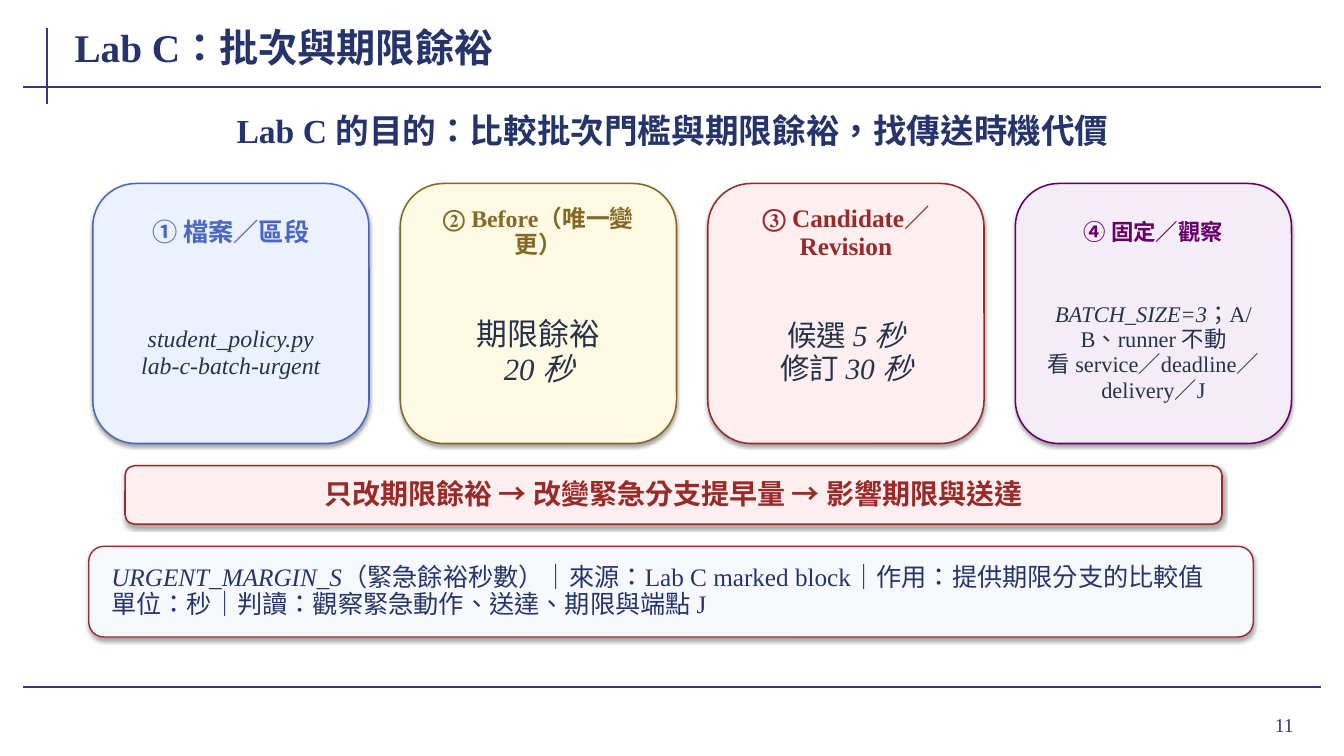
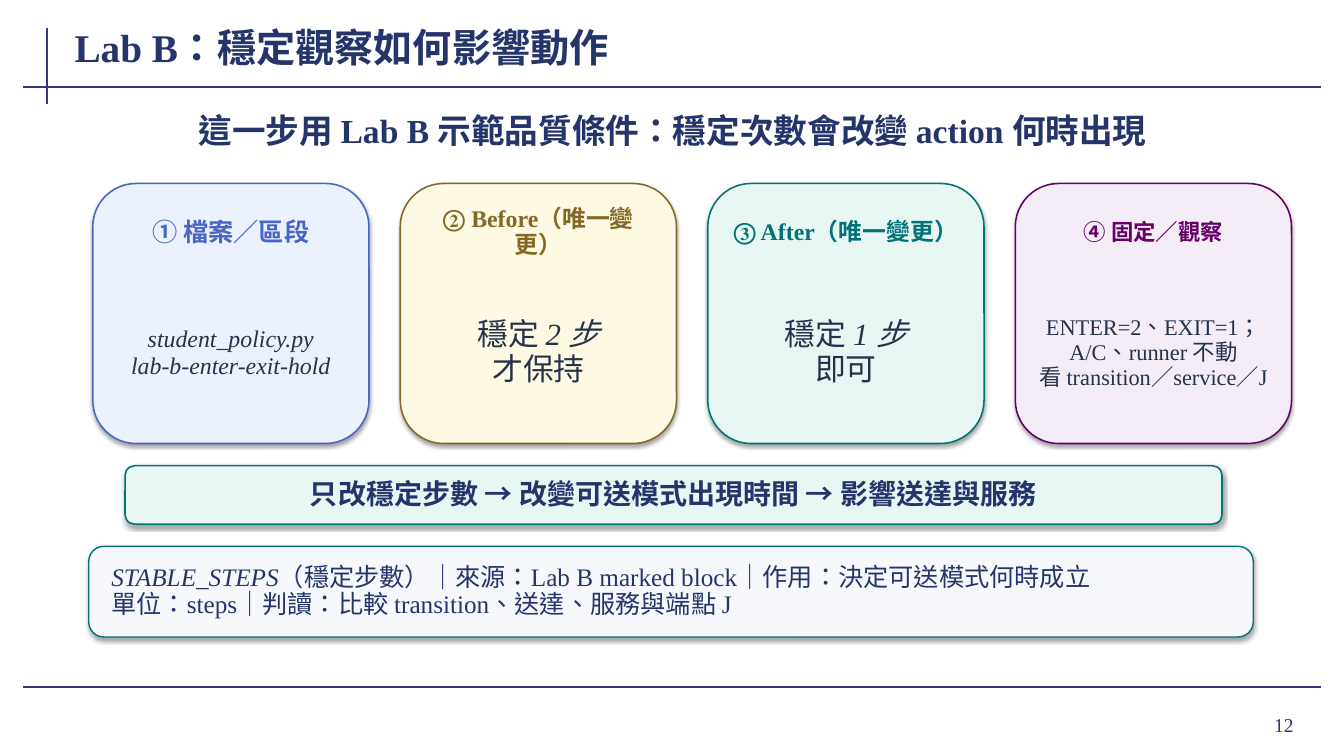
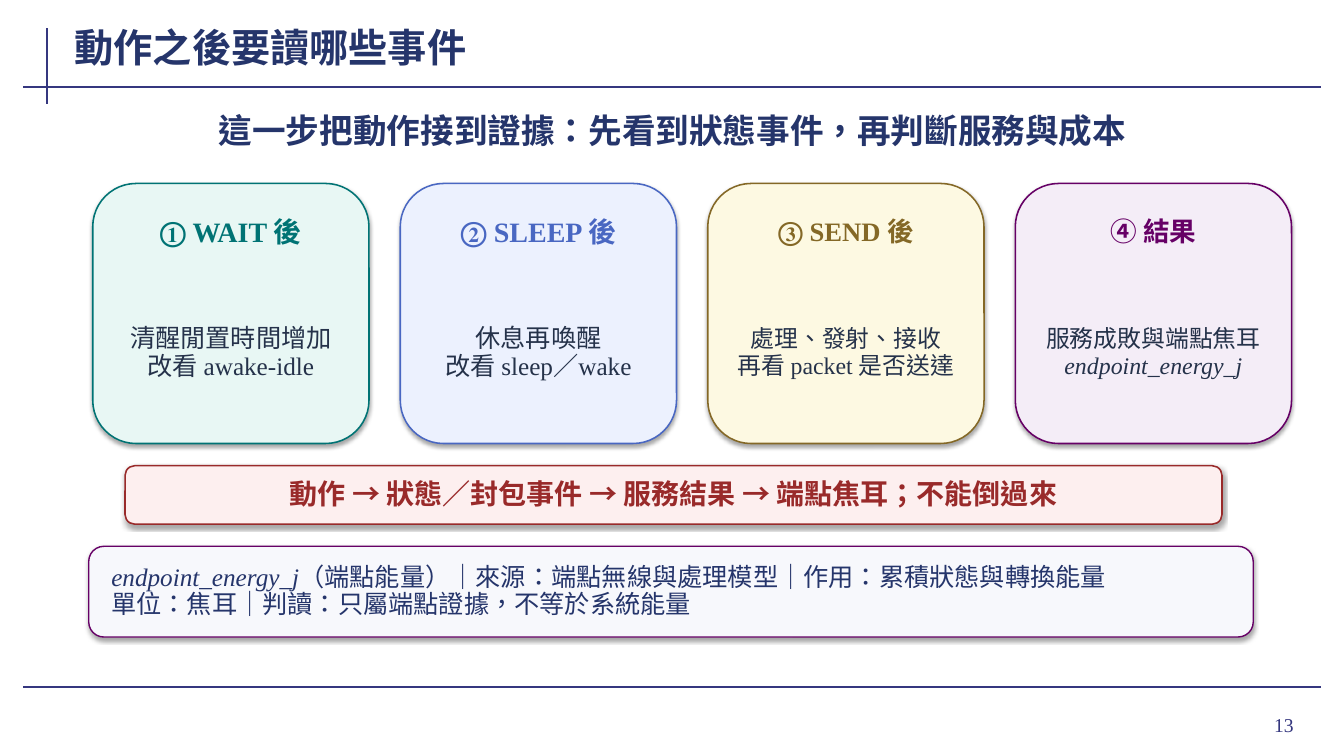
from dataclasses import dataclass

from lxml.etree import SubElement
from pptx import Presentation
from pptx.dml.color import RGBColor
from pptx.enum.lang import MSO_LANGUAGE_ID
from pptx.enum.shapes import MSO_CONNECTOR, MSO_SHAPE
from pptx.enum.text import MSO_ANCHOR, MSO_AUTO_SIZE, PP_ALIGN
from pptx.oxml.ns import qn
from pptx.shapes.autoshape import Shape
from pptx.slide import Slide
from pptx.util import Inches, Pt

# Shared look
FONT = "Times New Roman"
RULE = RGBColor(0x35, 0x37, 0x7F)
NAVY = RGBColor(0x25, 0x35, 0x6B)
INK = RGBColor(0x25, 0x32, 0x4A)
PALE = RGBColor(0xF7, 0xF8, 0xFC)
LEFT, MID, RIGHT = PP_ALIGN.LEFT, PP_ALIGN.CENTER, PP_ALIGN.RIGHT

Box = tuple[float, float, float, float]


@dataclass(frozen=True)
class Tone:
    fill: RGBColor
    line: RGBColor


BLUE = Tone(RGBColor(0xEC, 0xF1, 0xFE), RGBColor(0x49, 0x67, 0xC2))
GOLD = Tone(RGBColor(0xFD, 0xF9, 0xE2), RGBColor(0x84, 0x68, 0x26))
RED = Tone(RGBColor(0xFD, 0xEF, 0xEF), RGBColor(0x99, 0x2A, 0x2A))
TEAL = Tone(RGBColor(0xE8, 0xF7, 0xF4), RGBColor(0x00, 0x73, 0x74))
PLUM = Tone(RGBColor(0xF4, 0xED, 0xF7), RGBColor(0x66, 0x00, 0x66))


@dataclass(frozen=True)
class Style:
    align: PP_ALIGN
    pad_x: float
    pad_y: float
    space: float | None = None
    bold: bool = False
    grow: bool = False


TITLE = Style(LEFT, 0.02, 0, bold=True)
LEAD = Style(MID, 0.02, 0, 0.96, bold=True, grow=True)
HEAD = Style(MID, 0.03, 0.01, 0.92, bold=True, grow=True)
BODY = Style(MID, 0.05, 0.01, 0.94, grow=True)
CHAIN = Style(MID, 0.12, 0.04, 0.95, bold=True)
NOTE = Style(LEFT, 0.18, 0.03, 0.9)
PAGE = Style(RIGHT, 0.1, 0.05)


@dataclass(frozen=True)
class Card:
    tone: Tone
    head: str
    head_size: int
    body: str
    body_size: int


@dataclass(frozen=True)
class Page:
    num: int
    title: str
    lead: str
    cards: list[Card]
    chain: str
    chain_tone: Tone
    chain_ink: RGBColor
    note: str
    note_tone: Tone


# Content: text between asterisks is italic
FIXED = "④ 固定／觀察"
BEFORE = "② Before（唯一變更）"
PAGES = [
    Page(
        11, "Lab C：批次與期限餘裕",
        "Lab C 的目的：比較批次門檻與期限餘裕，找傳送時機代價",
        [
            Card(BLUE, "① 檔案／區段", 18,
                 "*student_policy.py*\n*lab-c-batch-urgent*", 17),
            Card(GOLD, BEFORE, 17, "期限餘裕\n*20 秒*", 22),
            Card(RED, "③ Candidate／Revision", 18,
                 "候選 *5 秒*\n修訂 *30 秒*", 21),
            Card(PLUM, FIXED, 16, "*BATCH_SIZE=3*；A/B、runner 不動\n"
                 "看 service／deadline／delivery／J", 16),
        ],
        "只改期限餘裕 → 改變緊急分支提早量 → 影響期限與送達", RED, RED.line,
        "*URGENT_MARGIN_S*（緊急餘裕秒數）｜來源：Lab C marked block"
        "｜作用：提供期限分支的比較值\n"
        "單位：秒｜判讀：觀察緊急動作、送達、期限與端點 J", RED,
    ),
    Page(
        12, "Lab B：穩定觀察如何影響動作",
        "這一步用 Lab B 示範品質條件：穩定次數會改變 action 何時出現",
        [
            Card(BLUE, "① 檔案／區段", 18,
                 "*student_policy.py*\n*lab-b-enter-exit-hold*", 17),
            Card(GOLD, BEFORE, 17, "穩定 *2 步*\n才保持", 22),
            Card(TEAL, "③ After（唯一變更）", 17, "穩定 *1 步*\n即可", 22),
            Card(PLUM, FIXED, 16, "ENTER=2、EXIT=1；A/C、runner 不動\n"
                 "看 transition／service／J", 16),
        ],
        "只改穩定步數 → 改變可送模式出現時間 → 影響送達與服務", TEAL, NAVY,
        "*STABLE_STEPS*（穩定步數）｜來源：Lab B marked block"
        "｜作用：決定可送模式何時成立\n"
        "單位：steps｜判讀：比較 transition、送達、服務與端點 J", TEAL,
    ),
    Page(
        13, "動作之後要讀哪些事件",
        "這一步把動作接到證據：先看到狀態事件，再判斷服務與成本",
        [
            Card(TEAL, "① WAIT 後", 20, "清醒閒置時間增加\n改看 awake-idle", 18),
            Card(BLUE, "② SLEEP 後", 20, "休息再喚醒\n改看 sleep／wake", 18),
            Card(GOLD, "③ SEND 後", 19,
                 "處理、發射、接收\n再看 packet 是否送達", 17),
            Card(PLUM, "④ 結果", 19,
                 "服務成敗與端點焦耳\n*endpoint_energy_j*", 17),
        ],
        "動作 → 狀態／封包事件 → 服務結果 → 端點焦耳；不能倒過來", RED, RED.line,
        "*endpoint_energy_j*（端點能量）｜來源：端點無線與處理模型"
        "｜作用：累積狀態與轉換能量\n"
        "單位：焦耳｜判讀：只屬端點證據，不等於系統能量", PLUM,
    ),
]


def write(shape: Shape, text: str, style: Style, size: int, ink: RGBColor) -> None:
    frame = shape.text_frame
    frame.word_wrap = True
    frame.vertical_anchor = MSO_ANCHOR.MIDDLE
    frame.auto_size = (MSO_AUTO_SIZE.SHAPE_TO_FIT_TEXT if style.grow
                       else MSO_AUTO_SIZE.NONE)
    frame.margin_left = frame.margin_right = Inches(style.pad_x)
    frame.margin_top = frame.margin_bottom = Inches(style.pad_y)
    for i, line in enumerate(text.split("\n")):
        para = frame.add_paragraph() if i else frame.paragraphs[0]
        para.alignment = style.align
        para.line_spacing = style.space
        for j, part in enumerate(line.split("*")):
            if not part:
                continue
            run = para.add_run()
            run.text = part
            font = run.font
            font.name, font.size = FONT, Pt(size)
            font.bold, font.italic = style.bold, j % 2 == 1
            font.color.rgb = ink
            font.language_id = MSO_LANGUAGE_ID.TRADITIONAL_CHINESE


def label(slide: Slide, box: Box, text: str, style: Style, size: int,
          ink: RGBColor) -> None:
    shape = slide.shapes.add_textbox(*map(Inches, box))
    write(shape, text, style, size, ink)


def panel(slide: Slide, box: Box, fill: RGBColor, line: RGBColor,
          width: float = 1.1) -> Shape:
    shape = slide.shapes.add_shape(MSO_SHAPE.ROUNDED_RECTANGLE, *map(Inches, box))
    shape.fill.solid()
    shape.fill.fore_color.rgb = fill
    shape.line.color.rgb = line
    shape.line.width = Pt(width)
    # Soft shadow straight below
    shape.shadow.inherit = False
    glow = shape.element.spPr.find(qn("a:effectLst"))
    drop = SubElement(glow, qn("a:outerShdw"), blurRad=str(Pt(3.1)),
                      dist=str(Pt(1.8)), dir="5400000", rotWithShape="0")
    black = SubElement(drop, qn("a:srgbClr"), val="000000")
    SubElement(black, qn("a:alpha"), val="35000")
    return shape


def rule(slide: Slide, x1: float, y1: float, x2: float, y2: float) -> None:
    line = slide.shapes.add_connector(
        MSO_CONNECTOR.STRAIGHT, *map(Inches, (x1, y1, x2, y2)))
    line.line.color.rgb = RULE
    line.line.width = Pt(1.5)
    SubElement(line.element.spPr, qn("a:effectLst"))


def base(slide: Slide, page: Page) -> None:
    rule(slide, 0.47, 0.28, 0.47, 1.03)
    for y in (0.86, 6.82):
        rule(slide, 0.23, y, 13.1, y)
    label(slide, (11.96, 6.93, 0.97, 0.52), str(page.num), PAGE, 14, RULE)
    label(slide, (0.72, 0.2, 10.35, 0.53), page.title, TITLE, 28, NAVY)
    label(slide, (1.02, 1.05, 11.3, 0.52), page.lead, LEAD, 24, NAVY)


def draw(slide: Slide, page: Page) -> None:
    base(slide, page)
    # Row of four cards
    for i, card in enumerate(page.cards):
        x = 0.92 + 3.05 * i
        tone = card.tone
        panel(slide, (x, 1.82, 2.74, 2.58), tone.fill, tone.line)
        label(slide, (x + 0.16, 2.02, 2.42, 0.58), card.head, HEAD,
              card.head_size, tone.line)
        label(slide, (x + 0.18, 2.8, 2.38, 1.4), card.body, BODY,
              card.body_size, INK)
    # Cause chain and reading note
    tone = page.chain_tone
    chain = panel(slide, (1.24, 4.62, 10.88, 0.58), tone.fill, tone.line)
    write(chain, page.chain, CHAIN, 20, page.chain_ink)
    note = panel(slide, (0.88, 5.42, 11.55, 0.9), PALE, page.note_tone.line, 1)
    write(note, page.note, NOTE, 18, NAVY)


def main() -> None:
    deck = Presentation()
    deck.slide_width, deck.slide_height = Inches(13.33), Inches(7.5)
    for page in PAGES:
        draw(deck.slides.add_slide(deck.slide_layouts[6]), page)
    deck.save("out.pptx")


if __name__ == "__main__":
    main()
